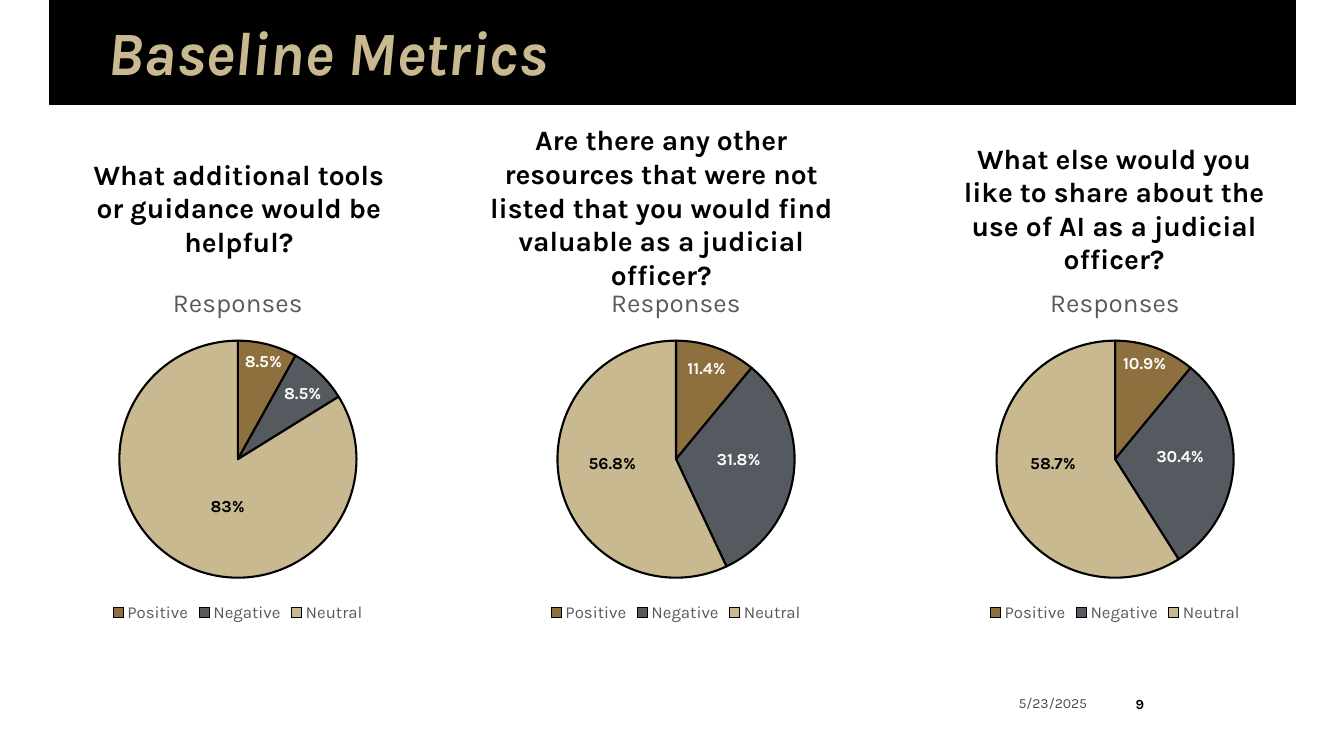
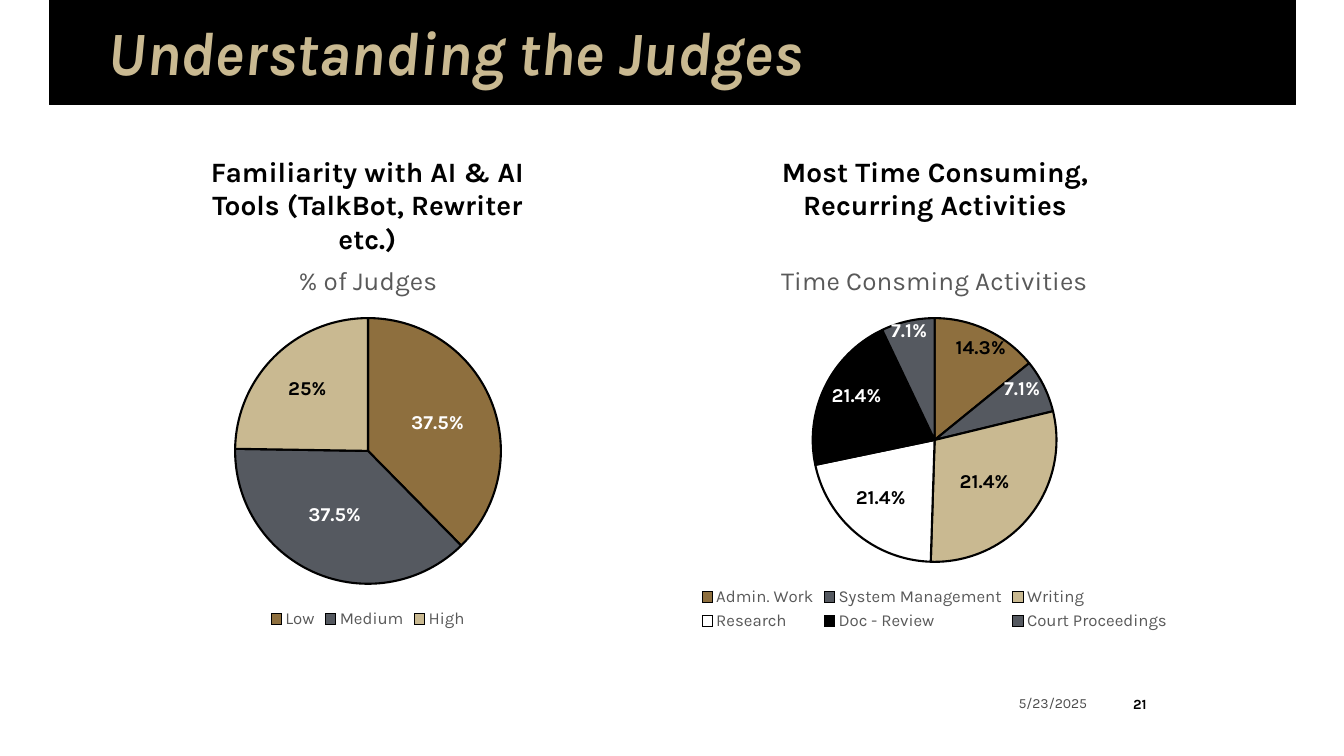
from dataclasses import dataclass

from pptx import Presentation
from pptx.chart.data import CategoryChartData
from pptx.dml.color import RGBColor
from pptx.enum.chart import XL_CHART_TYPE, XL_LEGEND_POSITION
from pptx.enum.shapes import MSO_SHAPE
from pptx.enum.text import MSO_ANCHOR, PP_ALIGN
from pptx.presentation import Presentation as Deck
from pptx.slide import Slide
from pptx.text.text import Font, TextFrame
from pptx.util import Inches, Pt

BLACK = RGBColor(0x00, 0x00, 0x00)
WHITE = RGBColor(0xFF, 0xFF, 0xFF)
GOLD = RGBColor(0xC9, 0xB9, 0x91)
BRONZE = RGBColor(0x8E, 0x6F, 0x3E)
SLATE = RGBColor(0x55, 0x59, 0x60)
CAPTION_GREY = RGBColor(0x59, 0x59, 0x59)
DATE_GREY = RGBColor(0x4D, 0x4D, 0x4D)
SLICE_COLOURS = (BRONZE, SLATE, GOLD, WHITE, BLACK, SLATE)
FONT = "Karla"

Box = tuple[float, float, float, float]  # left, top, width, height in inches


@dataclass(frozen=True)
class Share:
    """A percentage written on a slice."""
    text: str
    left: float
    top: float
    colour: RGBColor = WHITE


@dataclass(frozen=True)
class Pie:
    question: str
    question_box: Box
    title: str
    box: Box
    slices: dict[str, int]
    shares: tuple[Share, ...]


@dataclass(frozen=True)
class PieSlide:
    title: str
    number: int
    share_size: int
    share_width: float
    share_height: float
    pies: tuple[Pie, ...]


def sentiment(*values: int) -> dict[str, int]:
    return dict(zip(("Positive", "Negative", "Neutral"), values))


SLIDES = (
    PieSlide("Baseline Metrics", 9, 12, 0.73, 0.3, (
        Pie("What additional tools or guidance would be helpful?",
            (0.68, 1.51, 3.38, 1.11), "Responses", (0.66, 2.66, 3.4, 3.56),
            sentiment(8, 8, 83),
            (Share("8.5%", 2.33, 3.43), Share("8.5%", 2.72, 3.75),
             Share("83%", 1.99, 4.87, BLACK))),
        Pie("Are there any other resources that were not listed that you would "
            "find valuable as a judicial officer?",
            (4.68, 1.17, 3.76, 1.45), "Responses", (4.94, 2.66, 3.53, 3.56),
            sentiment(11, 32, 57),
            (Share("11.4%", 6.72, 3.5), Share("31.8%", 7.01, 4.4),
             Share("56.8%", 5.74, 4.44, BLACK))),
        Pie("What else would you like to share about the use of AI as a "
            "judicial officer?",
            (9.34, 1.35, 3.42, 1.11), "Responses", (9.28, 2.66, 3.56, 3.56),
            sentiment(11, 30, 59),
            (Share("10.9%", 11.04, 3.45), Share("30.4%", 11.37, 4.37),
             Share("58.7%", 10.12, 4.44, BLACK))),
    )),
    PieSlide("Understanding the Judges", 21, 14, 0.88, 0.34, (
        Pie("Familiarity with AI & AI Tools (TalkBot, Rewriter etc.)",
            (1.76, 1.48, 3.77, 1.11), "% of Judges", (0.63, 2.43, 6.04, 3.85),
            {"Low": 38, "Medium": 38, "High": 25},
            (Share("37.5%", 3.98, 4.02), Share("37.5%", 2.96, 4.93),
             Share("25%", 2.76, 3.68, BLACK))),
        Pie("Most Time Consuming, Recurring Activities",
            (7.39, 1.48, 3.77, 0.77), "Time Consming Activities",
            (5.73, 2.43, 7.08, 3.87),
            {"Admin. Work": 14, "System Management": 7, "Writing": 29,
             "Research": 21, "Doc - Review": 21, "Court Proceedings": 7},
            (Share("14.3%", 9.38, 3.27, BLACK), Share("7.1%", 9.86, 3.68),
             Share("21.4%", 9.42, 4.6, BLACK), Share("21.4%", 8.39, 4.76, BLACK),
             Share("21.4%", 8.15, 3.75), Share("7.1%", 8.74, 3.1))),
    )),
)


def set_font(font: Font, size: float, colour: RGBColor, bold: bool = False,
             italic: bool = False) -> None:
    font.name, font.size, font.bold, font.italic = FONT, Pt(size), bold, italic
    font.color.rgb = colour


def add_text(slide: Slide, text: str, box: Box, size: float, colour: RGBColor,
             align: PP_ALIGN = PP_ALIGN.LEFT, bold: bool = True,
             italic: bool = False) -> TextFrame:
    frame = slide.shapes.add_textbox(*map(Inches, box)).text_frame
    frame.word_wrap = True
    frame.text = text
    paragraph = frame.paragraphs[0]
    paragraph.alignment = align
    set_font(paragraph.font, size, colour, bold, italic)
    return frame


def add_frame(slide: Slide, title: str, number: int) -> None:
    """Draw the title band, title, date and slide number."""
    band = slide.shapes.add_shape(MSO_SHAPE.RECTANGLE, *map(Inches, (0.49, 0, 12.36, 1.04)))
    band.shadow.inherit = False
    band.fill.solid()
    band.fill.fore_color.rgb = BLACK
    band.line.color.rgb = BLACK
    band.line.width = Pt(1)

    heading = add_text(slide, title, (1.07, 0.22, 10.59, 0.67), 44, GOLD, italic=True)
    heading.margin_left = heading.margin_right = 0
    heading.margin_top = heading.margin_bottom = 0
    heading.paragraphs[0].line_spacing = 0.9

    date = add_text(slide, "5/23/2025", (9.76, 6.8, 1.12, 0.35), 10, DATE_GREY,
                    PP_ALIGN.RIGHT, bold=False)
    date.vertical_anchor = MSO_ANCHOR.MIDDLE

    badge = slide.shapes.add_shape(MSO_SHAPE.OVAL, *map(Inches, (11.04, 6.78, 0.53, 0.4)))
    badge.shadow.inherit = False
    badge.fill.background()
    badge.line.fill.background()
    page = badge.text_frame
    page.margin_left = page.margin_right = Inches(0.02)
    page.vertical_anchor = MSO_ANCHOR.MIDDLE
    page.text = str(number)
    page.paragraphs[0].alignment = PP_ALIGN.CENTER
    set_font(page.paragraphs[0].font, 10, BLACK, bold=True)


def add_pie(slide: Slide, pie: Pie) -> None:
    data = CategoryChartData()
    data.categories = list(pie.slices)
    data.add_series(pie.title, list(pie.slices.values()))
    chart = slide.shapes.add_chart(XL_CHART_TYPE.PIE, *map(Inches, pie.box), data).chart
    set_font(chart.font, 10, BLACK)

    chart.has_title = True
    caption = chart.chart_title.text_frame
    caption.text = pie.title
    set_font(caption.paragraphs[0].font, 18.6, CAPTION_GREY)

    chart.has_legend = True
    chart.legend.position = XL_LEGEND_POSITION.BOTTOM
    chart.legend.include_in_layout = False
    set_font(chart.legend.font, 12, CAPTION_GREY)

    plot = chart.plots[0]
    plot.vary_by_categories = True
    for index, colour in enumerate(SLICE_COLOURS[:len(pie.slices)]):
        wedge = plot.series[0].points[index].format
        wedge.fill.solid()
        wedge.fill.fore_color.rgb = colour
        wedge.line.color.rgb = BLACK
        wedge.line.width = Pt(1.5)


def add_pie_slide(deck: Deck, content: PieSlide) -> None:
    slide = deck.slides.add_slide(deck.slide_layouts[6])
    add_frame(slide, content.title, content.number)
    for pie in content.pies:
        add_text(slide, pie.question, pie.question_box, 20, BLACK, PP_ALIGN.CENTER)
        add_pie(slide, pie)
    for pie in content.pies:
        for share in pie.shares:
            box = (share.left, share.top, content.share_width, content.share_height)
            add_text(slide, share.text, box, content.share_size, share.colour)


def main() -> None:
    deck = Presentation()
    deck.slide_width, deck.slide_height = Inches(13.33), Inches(7.5)
    for content in SLIDES:
        add_pie_slide(deck, content)
    deck.save("out.pptx")


if __name__ == "__main__":
    main()
